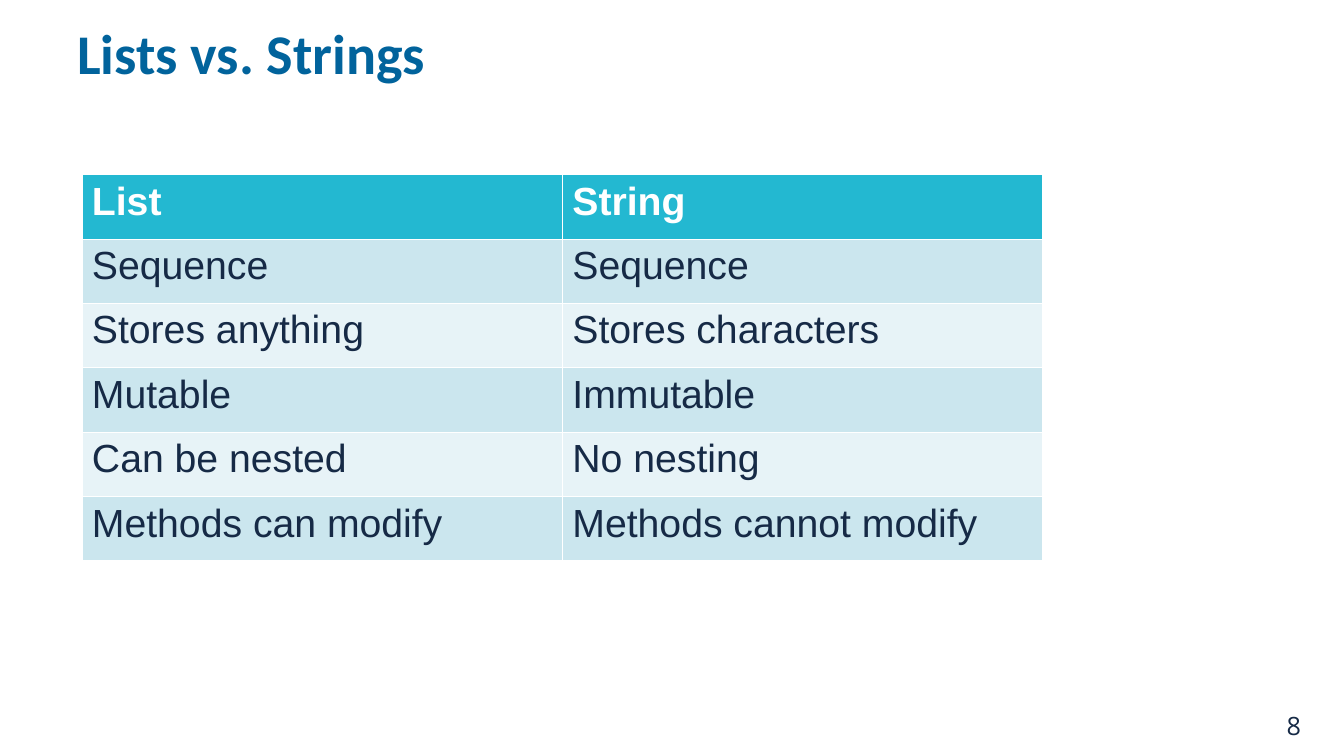
from pptx import Presentation
from pptx.dml.color import RGBColor
from pptx.enum.text import MSO_ANCHOR
from pptx.util import Pt

COLORS = {
    "title": "01639C",
    "text": "162A46",
    "white": "FFFFFF",
    "header": "23B8D1",
    "odd": "CBE6EE",
    "even": "E7F3F7",
}

ROWS = [
    ("List", "String"),
    ("Sequence", "Sequence"),
    ("Stores anything", "Stores characters"),
    ("Mutable", "Immutable"),
    ("Can be nested", "No nesting"),
    ("Methods can modify", "Methods cannot modify"),
]


def add_span(frame, text, font, size, color, bold=False):
    """Add one styled run to the first paragraph of a text frame."""
    span = frame.paragraphs[0].add_run()
    span.text = text
    span.font.name = font
    span.font.size = Pt(size)
    span.font.bold = bold
    span.font.color.rgb = RGBColor.from_string(COLORS[color])


def add_label(page, left, top, width, height, anchor, *style):
    """Place a wrapped text box with one styled run."""
    box = page.shapes.add_textbox(Pt(left), Pt(top), Pt(width), Pt(height))
    frame = box.text_frame
    frame.word_wrap = True
    frame.vertical_anchor = anchor
    add_span(frame, *style)


def add_comparison(page, left, top, width, height):
    """Place the comparison table with equal columns and rows."""
    columns = len(ROWS[0])
    table = page.shapes.add_table(
        len(ROWS), columns, Pt(left), Pt(top), Pt(width), Pt(height)
    ).table
    for column in table.columns:
        column.width = Pt(width / columns)
    for index, texts in enumerate(ROWS):
        table.rows[index].height = Pt(height / len(ROWS))
        is_header = index == 0
        fill = "header" if is_header else "odd" if index % 2 else "even"
        color = "white" if is_header else "text"
        for cell, text in zip(table.rows[index].cells, texts):
            cell.fill.solid()
            cell.fill.fore_color.rgb = RGBColor.from_string(COLORS[fill])
            add_span(cell.text_frame, text, "Arial", 28, color, is_header)


def main():
    """Build the slide and save the deck."""
    deck = Presentation()
    deck.slide_width, deck.slide_height = Pt(960), Pt(540)
    page = deck.slides.add_slide(deck.slide_layouts[6])
    add_label(page, 912, 504, 36, 29, MSO_ANCHOR.TOP,
              "8", "Open Sans", 18, "text")
    add_label(page, 48, 4.5, 864, 65.5, MSO_ANCHOR.MIDDLE,
              "Lists vs. Strings", "Calibri", 40, "title", True)
    add_comparison(page, 58.5, 124.8, 686.4, 276)
    deck.save("out.pptx")


if __name__ == "__main__":
    main()
